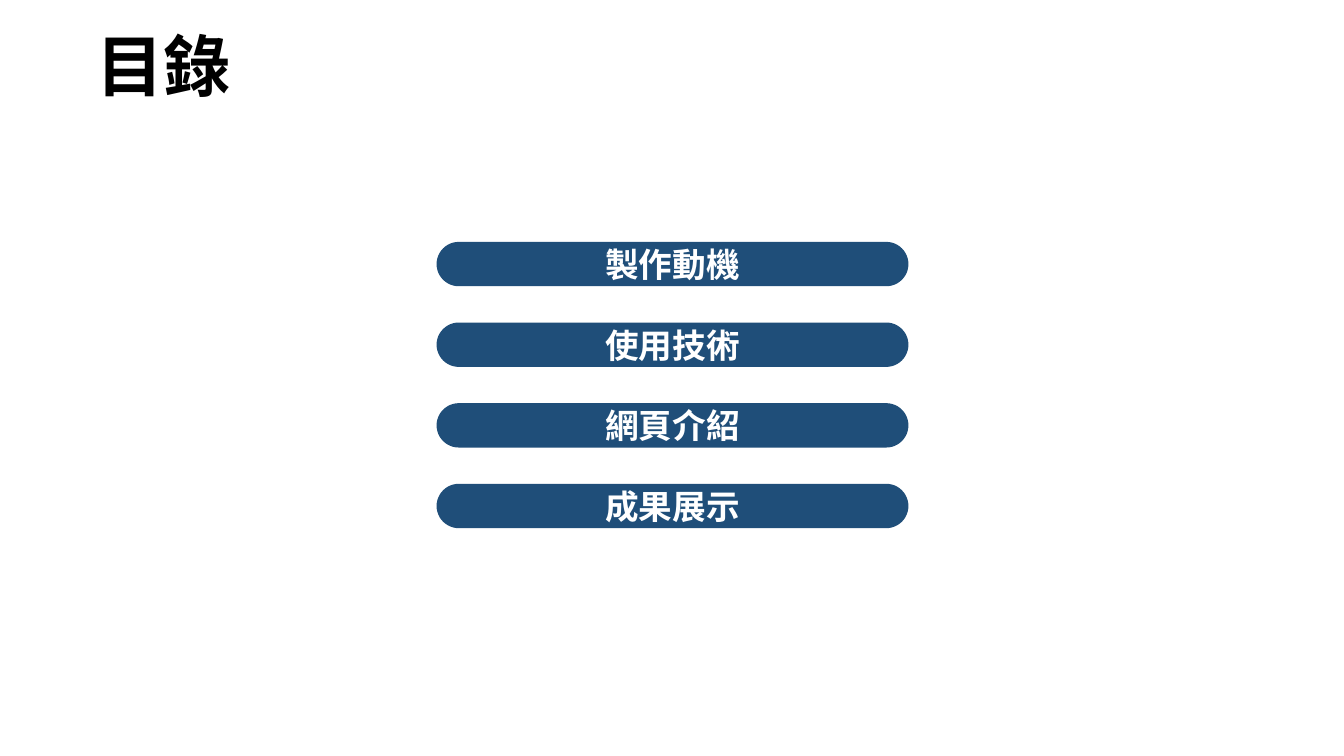
from lxml.etree import SubElement
from pptx import Presentation
from pptx.dml.color import RGBColor
from pptx.enum.shapes import MSO_SHAPE
from pptx.enum.text import MSO_ANCHOR, MSO_AUTO_SIZE, PP_ALIGN
from pptx.oxml.ns import qn
from pptx.util import Inches, Pt

# Content
HEADING = "目錄"
CHAPTERS = ["製作動機", "使用技術", "網頁介紹", "成果展示"]

# Style and layout, in inches
FONT = "Noto Sans CJK SC"
BLACK, WHITE, NAVY = "000000", "FFFFFF", "1F4E79"
TITLE_BOX = (0.86, 0.28, 12.48, 0.91)
BAR_LEFT, FIRST_BAR_TOP = 4.33, 2.4
BAR_WIDTH, BAR_HEIGHT = 4.68, 0.44
BAR_STEP = 0.8


def color(value):
    return RGBColor.from_string(value)


def add_text(para, text, size, value, align):
    para.alignment = align
    span = para.add_run()
    span.text = text
    span.font.size = Pt(size)
    span.font.bold = True
    span.font.name = FONT
    span.font.color.rgb = color(value)
    # East Asian glyphs take their own typeface setting
    SubElement(span.font._element, qn("a:ea")).set("typeface", FONT)


deck = Presentation()
deck.slide_width, deck.slide_height = Inches(13.33), Inches(7.5)
page = deck.slides.add_slide(deck.slide_layouts[5])

# Title
title = page.shapes.title
title.left, title.top, title.width, title.height = map(Inches, TITLE_BOX)
frame = title.text_frame
frame.auto_size = MSO_AUTO_SIZE.NONE
frame.vertical_anchor = MSO_ANCHOR.TOP
frame.paragraphs[0].line_spacing = 0.9
add_text(frame.paragraphs[0], HEADING, 48, BLACK, PP_ALIGN.LEFT)

# Chapter bars
for row, chapter in enumerate(CHAPTERS):
    bar = page.shapes.add_shape(
        MSO_SHAPE.ROUNDED_RECTANGLE,
        Inches(BAR_LEFT), Inches(FIRST_BAR_TOP + row * BAR_STEP),
        Inches(BAR_WIDTH), Inches(BAR_HEIGHT))
    bar.adjustments[0] = 0.5
    bar.shadow.inherit = False
    bar.fill.solid()
    bar.fill.fore_color.rgb = color(NAVY)
    bar.line.fill.background()
    bar.text_frame.vertical_anchor = MSO_ANCHOR.MIDDLE
    add_text(bar.text_frame.paragraphs[0], chapter, 24, WHITE, PP_ALIGN.CENTER)

deck.save("out.pptx")
